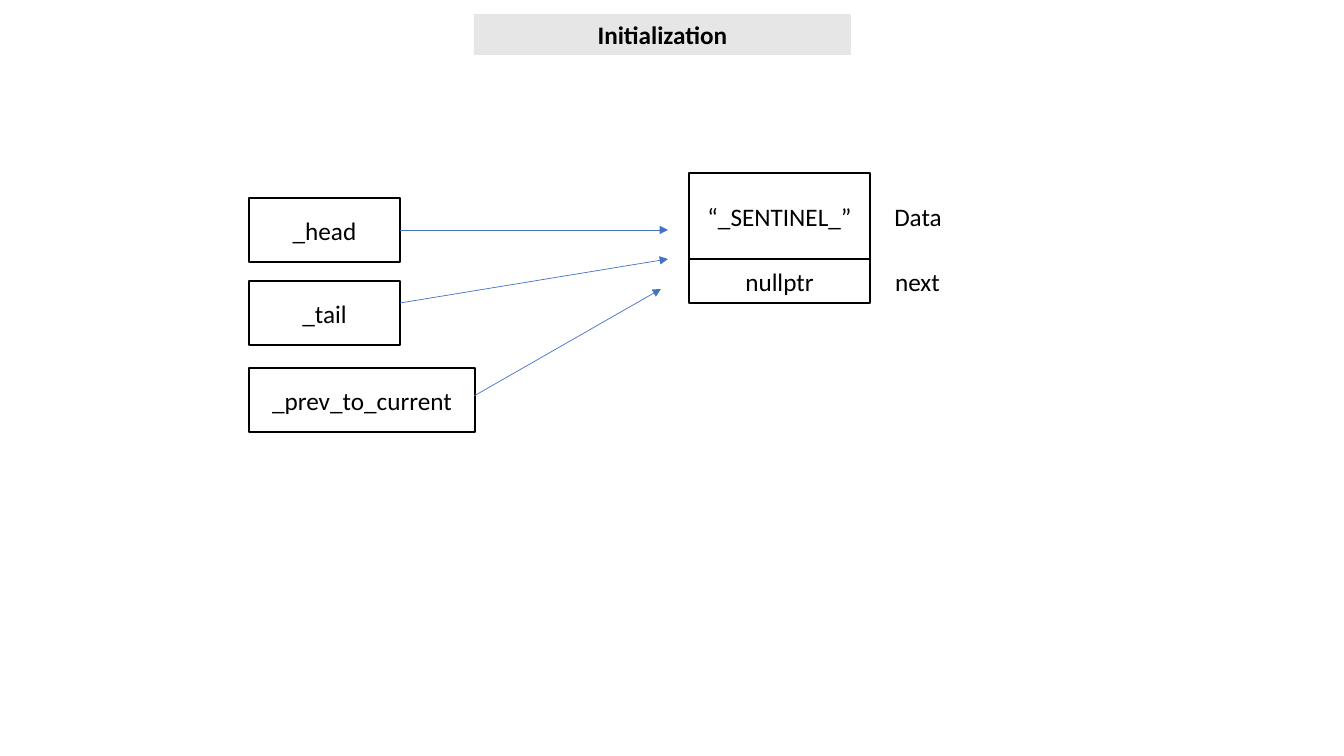
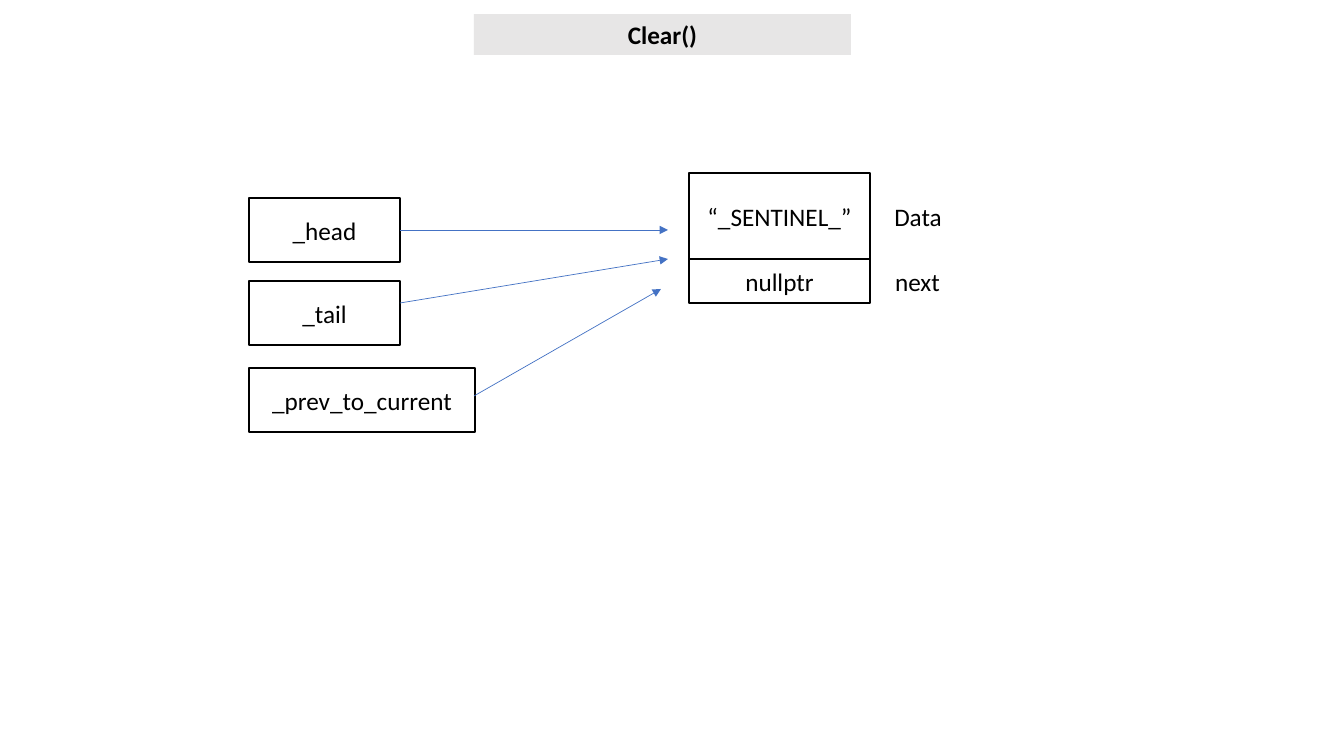
from pptx import Presentation
from pptx import util as u
from pptx.dml.color import RGBColor
from pptx.enum import shapes, text
from pptx.oxml.ns import qn
from lxml import etree

SCALE = 914400 / 100.8
FONT = "Calibri"
INK, PAPER, BAND, BLUE = "000000", "FFFFFF", "E7E6E6", "4472C4"


def px(*values):
    """Turn pixels into a list of EMU lengths."""
    return [u.Emu(round(v * SCALE)) for v in values]


def color(code):
    """Turn a hex string into a colour."""
    return RGBColor.from_string(code)


def write(shape, words, size=18, bold=False, ink=INK,
          anchor=text.MSO_ANCHOR.TOP):
    """Put centred, formatted text into a shape."""
    frame = shape.text_frame
    frame.word_wrap = True
    frame.vertical_anchor = anchor
    para = frame.paragraphs[0]
    para.alignment = text.PP_ALIGN.CENTER
    run = para.add_run()
    run.text = words
    font = run.font
    font.name, font.size, font.bold = FONT, u.Pt(size), bold
    font.color.rgb = color(ink)


def rect(parent, area, fill, line=None):
    """Add a filled rectangle with an optional outline."""
    shape = parent.add_shape(shapes.MSO_SHAPE.RECTANGLE, *px(*area))
    shape.shadow.inherit = False
    shape.fill.solid()
    shape.fill.fore_color.rgb = color(fill)
    if line:
        shape.line.color.rgb = color(line)
        shape.line.width = u.Pt(1)
    else:
        shape.line.fill.background()
    return shape


def box(parent, words, *area):
    """Add an outlined box with a centred name."""
    write(rect(parent, area, PAPER, INK), words, anchor=text.MSO_ANCHOR.MIDDLE)


def label(parent, words, *area):
    """Add a plain text label."""
    write(parent.add_textbox(*px(*area)), words)


def arrow(parent, *ends):
    """Add a thin blue arrow from one point to another."""
    link = parent.add_connector(shapes.MSO_CONNECTOR.STRAIGHT, *px(*ends))
    link.line.color.rgb = color(BLUE)
    link.line.width = u.Pt(0.5)
    tip = etree.SubElement(link.line._get_or_add_ln(), qn("a:tailEnd"))
    tip.set("type", "triangle")
    etree.SubElement(link._element.spPr, qn("a:effectLst"))


def title(parent, words):
    """Add the grey title band."""
    write(rect(parent, (474, 14, 377, 41), BAND), words, bold=True)


def node(parent):
    """Add the sentinel node with its field labels."""
    group = parent.add_group_shape().shapes
    box(group, "“_SENTINEL_”", 689, 173, 181, 86)
    box(group, "nullptr", 689, 259, 181, 44)
    label(parent, "Data", 850, 196, 136, 40)
    label(parent, "next", 827, 261, 181, 40)


def pointers(parent):
    """Add the three list pointers and their arrows to the node."""
    rows = [("_head", 198, 151, (400, 230, 668, 230)),
            ("_tail", 281, 151, (400, 303, 668, 259)),
            ("_prev_to_current", 368, 226, (474, 396, 661, 289))]
    for name, top, width, ends in rows:
        box(parent, name, 249, top, width, 64)
        arrow(parent, *ends)


def main():
    """Build one slide for each list operation."""
    deck = Presentation()
    deck.slide_width, deck.slide_height = px(1344, 756)
    for name in ("Initialization", "Clear()"):
        parent = deck.slides.add_slide(deck.slide_layouts[6]).shapes
        node(parent)
        pointers(parent)
        title(parent, name)
    deck.save("out.pptx")


main()
